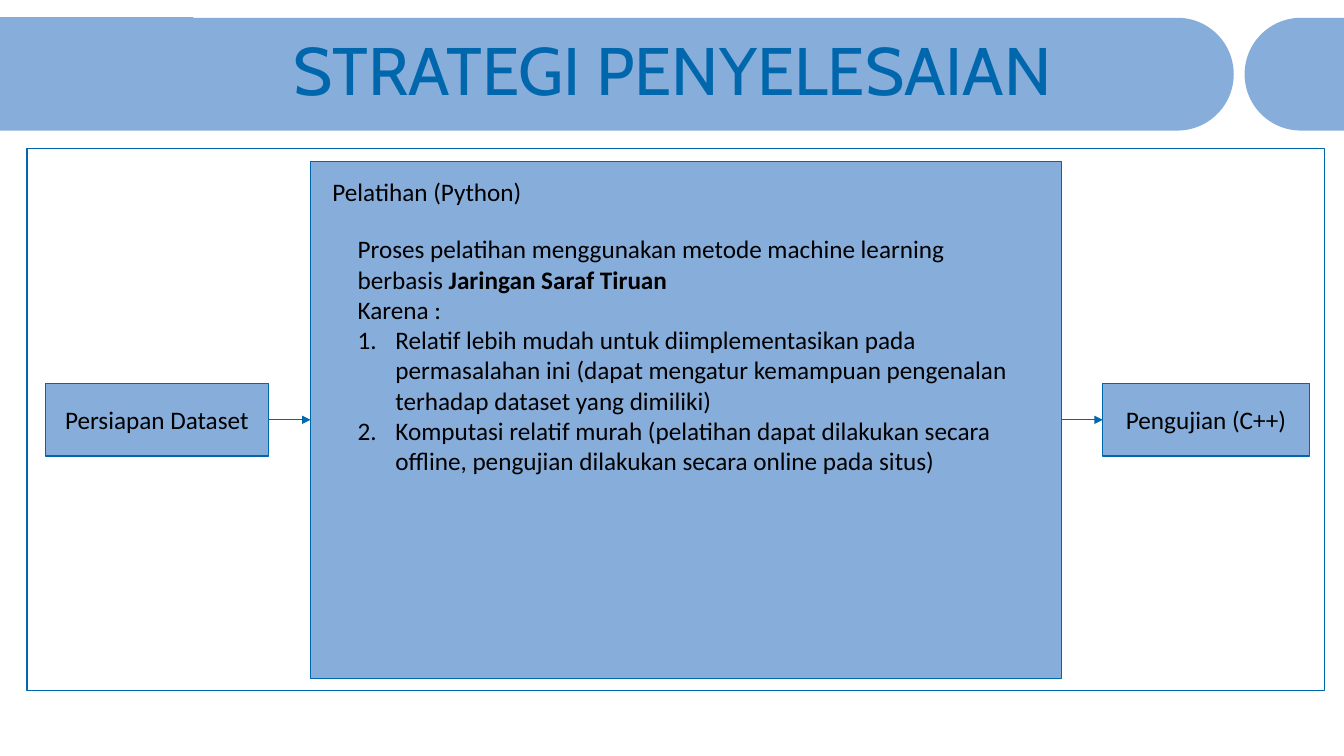
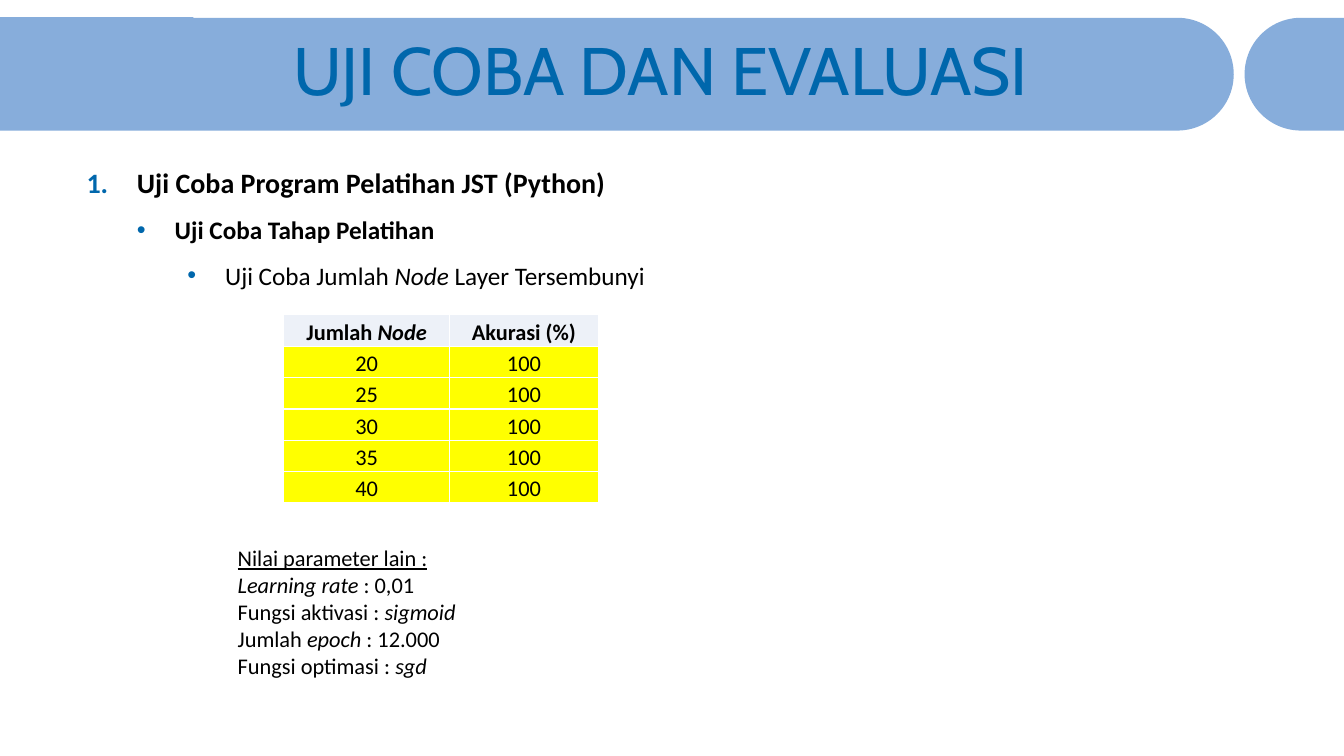
from math import cos, pi, sin

from lxml import etree
from pptx import Presentation
from pptx.dml.color import RGBColor
from pptx.enum.shapes import MSO_CONNECTOR as CONN, MSO_SHAPE as SHAPE
from pptx.enum.text import MSO_ANCHOR as ANCHOR, PP_ALIGN as ALIGN
from pptx.oxml.ns import qn
from pptx.util import Pt

BLUE, BAND, BLACK, WHITE = "0067AC", "87ADDB", "000000", "FFFFFF"
HEADER, YELLOW = "EDF1F8", "FFFF00"
TITLE_FONT, BODY_FONT = "Cabin", "Calibri"
WIDTH, HEIGHT = 960, 540
BAND_TOP, BAND_H, BAND_END, CAP_START = 12.7, 80.6, 881.3, 889

# Content: a paragraph is a list of (text, style) runs; style letters are b, i, u
STRATEGY = "STRATEGI PENYELESAIAN"
STEP_PREPARE, STEP_TRAIN, STEP_TEST = (
    "Persiapan Dataset", "Pelatihan (Python)", "Pengujian (C++)")
TRAIN_INTRO = [
    [("Proses pelatihan menggunakan metode machine learning berbasis ", ""),
     ("Jaringan Saraf Tiruan", "b")],
    [("Karena :", "")],
]
TRAIN_REASONS = [
    [("Relatif lebih mudah untuk diimplementasikan pada permasalahan ini "
      "(dapat mengatur kemampuan pengenalan terhadap dataset yang dimiliki)", "")],
    [("Komputasi relatif murah (pelatihan dapat dilakukan secara offline, "
      "pengujian dilakukan secara online pada situs)", "")],
]

EVALUATION = "UJI COBA DAN EVALUASI"
# Runs, size, left margin, hanging indent, bullet (None means numbered)
OUTLINE = [
    ([("Uji Coba Program Pelatihan JST (Python)", "b")], 20, 36, 36, None),
    ([("Uji Coba Tahap Pelatihan", "b")], 18, 63, 27, "•"),
    ([("Uji Coba Jumlah ", ""), ("Node", "i"), (" Layer Tersembunyi", "")],
     18, 99, 27, "•"),
]
RESULTS = [
    [[("Jumlah ", "b"), ("Node", "bi")], [("Akurasi (%)", "b")]],
] + [[[(str(nodes), "")], [("100", "")]] for nodes in (20, 25, 30, 35, 40)]
PARAMETERS = [
    [("Nilai parameter lain :", "u")],
    [("Learning rate", "i"), (" : 0,01", "")],
    [("Fungsi aktivasi : ", ""), ("sigmoid", "i")],
    [("Jumlah ", ""), ("epoch ", "i"), (": 12.000", "")],
    [("Fungsi optimasi : ", ""), ("sgd", "i")],
]


def rgb(color):
    return RGBColor.from_string(color)


def paint(sp, fill, line=None):
    sp.shadow.inherit = False
    sp.fill.solid()
    sp.fill.fore_color.rgb = rgb(fill)
    if line:
        sp.line.color.rgb = rgb(line)
        sp.line.width = Pt(1)
    else:
        sp.line.fill.background()


def add_runs(p, runs, size, color=BLACK, font=BODY_FONT):
    for text, style in runs:
        r = p.add_run()
        r.text = text
        r.font.name, r.font.size = font, Pt(size)
        r.font.color.rgb = rgb(color)
        r.font.bold, r.font.italic, r.font.underline = (k in style for k in "biu")


def add_bullet(p, margin, hang, char=None, color=None):
    pPr = p._p.get_or_add_pPr()
    pPr.set("marL", str(Pt(margin)))
    pPr.set("indent", str(-Pt(hang)))
    if color:
        clr = etree.SubElement(pPr, qn("a:buClr"))
        etree.SubElement(clr, qn("a:srgbClr"), val=color)
    if char:
        etree.SubElement(pPr, qn("a:buFont"), typeface="Arial")
        etree.SubElement(pPr, qn("a:buChar"), char=char)
    else:
        etree.SubElement(pPr, qn("a:buFont"), typeface="+mj-lt")
        etree.SubElement(pPr, qn("a:buAutoNum"), type="arabicPeriod")


def next_paragraph(tf):
    first = tf.paragraphs[0]
    return tf.add_paragraph() if first.runs else first


def text_box(s, *place):
    tf = s.shapes.add_textbox(*map(Pt, place)).text_frame
    tf.word_wrap = True
    return tf


def box(s, place, fill, line=None, label=None):
    sp = s.shapes.add_shape(SHAPE.RECTANGLE, *map(Pt, place))
    paint(sp, fill, line)
    if label:
        p = sp.text_frame.paragraphs[0]
        p.alignment = ALIGN.CENTER
        add_runs(p, [(label, "")], 18)
    return sp


def arrow(s, start, end):
    """Arrow from the right side of one box to the left side of the next."""
    c = s.shapes.add_connector(CONN.STRAIGHT, 0, 0, 0, 0)
    c.begin_connect(start, 3)
    c.end_connect(end, 1)
    c.line.color.rgb = rgb(BLUE)
    c.line.width = Pt(0.5)
    etree.SubElement(c.line._get_or_add_ln(), qn("a:tailEnd"), type="triangle")
    etree.SubElement(c._element.spPr, qn("a:effectLst"))


def band(s, flat_x, round_x):
    """Title band with a straight end at flat_x and a half circle at round_x."""
    radius = BAND_H / 2
    side = 1 if round_x > flat_x else -1
    angles = [pi * (k / 48 - 0.5) for k in range(49)]
    points = [(round_x + side * radius * (cos(a) - 1),
               BAND_TOP + radius * (1 + sin(a))) for a in angles]
    points.append((flat_x, BAND_TOP + BAND_H))
    fb = s.shapes.build_freeform(Pt(flat_x), Pt(BAND_TOP))
    fb.add_line_segments([(Pt(x), Pt(y)) for x, y in points], close=True)
    paint(fb.convert_to_shape(), BAND)


def new_slide(prs, title):
    s = prs.slides.add_slide(prs.slide_layouts[6])
    band(s, 0, BAND_END)
    band(s, WIDTH, CAP_START)
    box(s, (0, 12.2, 138.2, BAND_H), BAND)
    tf = text_box(s, 202.3, 24.5, WIDTH - 202.3, 56.9)
    tf.vertical_anchor = ANCHOR.MIDDLE
    p = tf.paragraphs[0]
    p.line_spacing = 0.9
    add_runs(p, [(title, "")], 48, BLUE, TITLE_FONT)
    return s


def strategy_slide(prs):
    s = new_slide(prs, STRATEGY)

    # Frame and the three steps, all centred on one line
    middle, step_h = 299.9, 52
    box(s, (19.4, 105.9, 926.6, 387.4), WHITE, BLUE)
    train = box(s, (221.8, middle - 184.7, 536.4, 369.4), BAND, BLUE)
    prepare, test = (
        box(s, (x, middle - step_h / 2, w, step_h), BAND, BLUE, label)
        for x, w, label in ((32.4, 159.3, STEP_PREPARE), (787.7, 147.6, STEP_TEST)))
    arrow(s, prepare, train)
    arrow(s, train, test)

    # Text of the training step
    add_runs(text_box(s, 230.4, 122.4, 198.7, 29).paragraphs[0],
             [(STEP_TRAIN, "")], 18)
    tf = text_box(s, 248.4, 163.4, 482.4, 204)
    for runs in TRAIN_INTRO:
        add_runs(next_paragraph(tf), runs, 18)
    for runs in TRAIN_REASONS:
        p = next_paragraph(tf)
        add_bullet(p, 27, 27)
        add_runs(p, runs, 18)


def results_table(s):
    col_widths, row_h = (118.6, 106.2), 22.4
    shape = s.shapes.add_table(len(RESULTS), len(col_widths), Pt(202.6), Pt(224.9),
                               Pt(sum(col_widths)), Pt(row_h * len(RESULTS)))
    table = shape.table
    table.first_row = table.horz_banding = False
    for col, w in zip(table.columns, col_widths):
        col.width = Pt(w)
    for i, row in enumerate(RESULTS):
        table.rows[i].height = Pt(row_h)
        for j, runs in enumerate(row):
            cell = table.cell(i, j)
            cell.margin_left = cell.margin_right = cell.margin_top = Pt(0.7)
            cell.margin_bottom = 0
            cell.vertical_anchor = ANCHOR.BOTTOM
            tcPr = cell._tc.get_or_add_tcPr()
            for edge in ("lnL", "lnR", "lnT", "lnB"):
                ln = etree.SubElement(tcPr, qn("a:" + edge), w=str(Pt(1)))
                fill = etree.SubElement(ln, qn("a:solidFill"))
                etree.SubElement(fill, qn("a:srgbClr"), val=WHITE)
            cell.fill.solid()
            cell.fill.fore_color.rgb = rgb(YELLOW if i else HEADER)
            p = cell.text_frame.paragraphs[0]
            p.alignment = ALIGN.CENTER
            add_runs(p, runs, 16)


def evaluation_slide(prs):
    s = new_slide(prs, EVALUATION)

    # Outline above the table
    tf = text_box(s, 54.7, 103, 828.7, 112)
    for runs, size, margin, hang, char in OUTLINE:
        p = next_paragraph(tf)
        add_bullet(p, margin, hang, char, BLUE)
        p.line_spacing = 1.5
        add_runs(p, runs, size)

    results_table(s)

    # Other parameters below the table
    tf = text_box(s, 162.7, 385.3, 400, 106)
    for runs in PARAMETERS:
        add_runs(next_paragraph(tf), runs, 16)


def main():
    prs = Presentation()
    prs.slide_width, prs.slide_height = Pt(WIDTH), Pt(HEIGHT)
    strategy_slide(prs)
    evaluation_slide(prs)
    prs.save("out.pptx")


if __name__ == "__main__":
    main()
